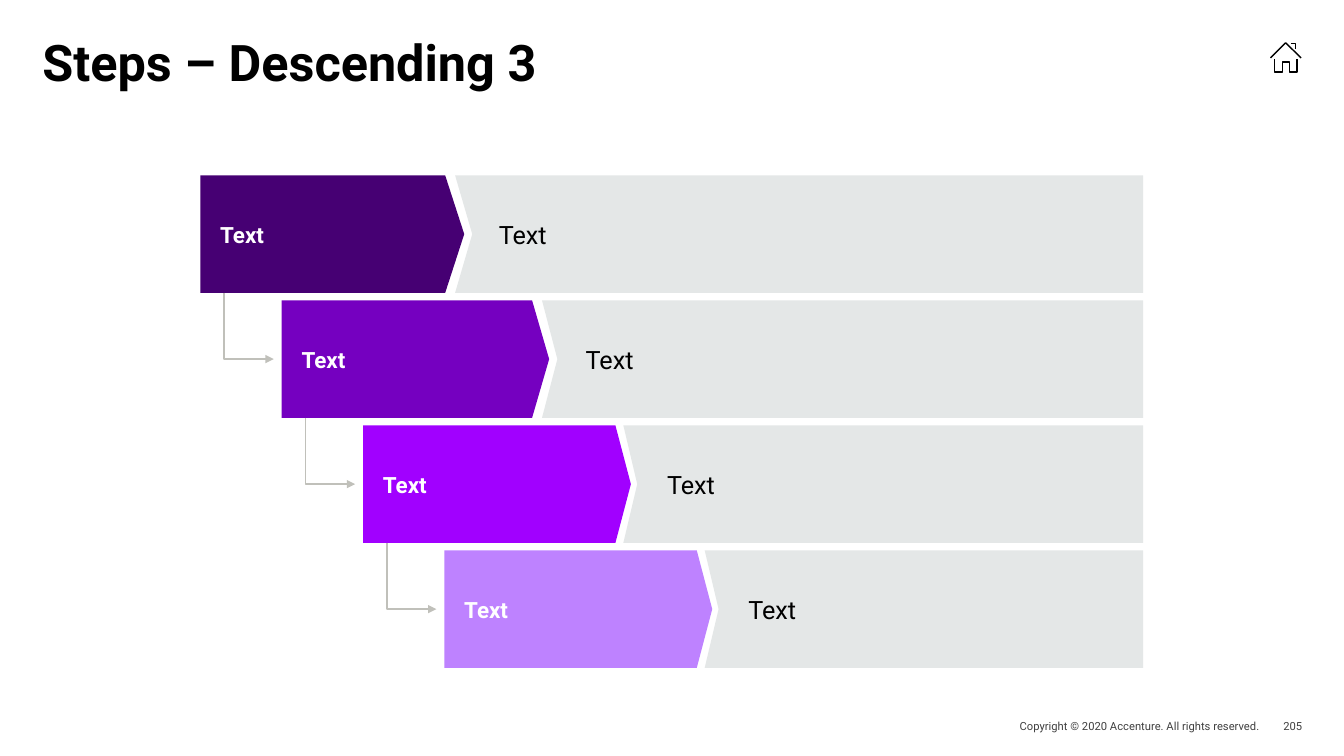
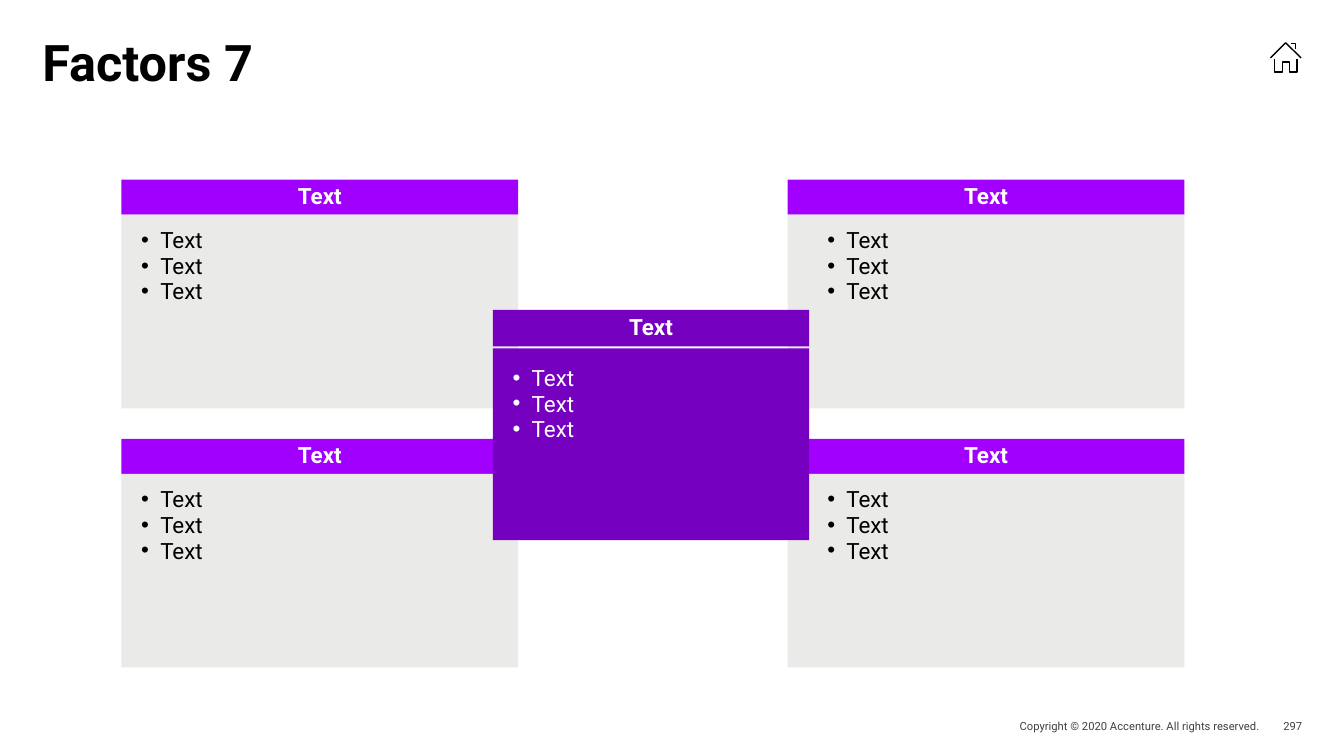
from dataclasses import dataclass

from lxml import etree
from pptx import Presentation
from pptx.dml.color import RGBColor
from pptx.enum.shapes import MSO_CONNECTOR, MSO_SHAPE
from pptx.enum.text import MSO_ANCHOR, PP_ALIGN
from pptx.oxml.ns import qn
from pptx.util import Cm, Pt

RECT, PENTAGON = MSO_SHAPE.RECTANGLE, MSO_SHAPE.PENTAGON
ELBOW = MSO_CONNECTOR.ELBOW
TOP, MIDDLE = MSO_ANCHOR.TOP, MSO_ANCHOR.MIDDLE
LEFT, CENTER, RIGHT = PP_ALIGN.LEFT, PP_ALIGN.CENTER, PP_ALIGN.RIGHT


@dataclass(frozen=True)
class Theme:
    font: str = "Roboto"
    black: str = "000000"
    white: str = "FFFFFF"
    footer_grey: str = "404040"
    panel_grey: str = "E4E7E7"
    card_grey: str = "EAEAE8"
    arrow_grey: str = "C0C0BA"
    darkest: str = "460073"
    dark: str = "7500C0"
    bright: str = "A100FF"
    light: str = "BE82FF"
    title_size: int = 36
    panel_size: int = 18
    body_size: int = 16
    footer_size: int = 8


THEME = Theme()
COPYRIGHT = "Copyright © 2020 Accenture. All rights reserved."

# Home icon strokes, in cm: roof, chimney, walls with door
HOME_STROKES = (
    ((32.02, 1.46), (32.4, 1.08), (32.79, 1.46)),
    ((32.53, 1.1), (32.65, 1.1), (32.65, 1.23)),
    ((32.12, 1.49), (32.12, 1.82), (32.32, 1.82), (32.32, 1.56),
     (32.5, 1.56), (32.5, 1.82), (32.69, 1.82), (32.69, 1.49)),
)


def rgb(code):
    return RGBColor.from_string(code)


def points(pairs):
    return [(Cm(x), Cm(y)) for x, y in pairs]


class Deck:
    """Holds the style and the current slide; all lengths are in cm."""

    def __init__(self, theme):
        self.theme = theme
        self.prs = Presentation()
        self.prs.slide_width, self.prs.slide_height = Cm(33.87), Cm(19.05)
        self.slide = None

    def new_slide(self, title, number):
        theme = self.theme
        self.slide = self.prs.slides.add_slide(self.prs.slide_layouts[6])
        for text, left, width in ((COPYRIGHT, 23.11, 8.64), (number, 31.75, 1.07)):
            self.label(text, (left, 18.01, width, 0.57), theme.footer_size,
                       theme.footer_grey, align=RIGHT, anchor=MIDDLE)
        self.label(title, (1.07, 1.07, 31.75, 2.74), theme.title_size,
                   theme.black, bold=True, spacing=0.8)
        self.home_icon()

    def set_text(self, shape, text, size, color, bold=False, align=LEFT, anchor=TOP,
                 insets=(0, 0, 0, 0), spacing=None, bullets=False):
        frame = shape.text_frame
        frame.text = text
        frame.word_wrap = True
        frame.vertical_anchor = anchor
        (frame.margin_left, frame.margin_top,
         frame.margin_right, frame.margin_bottom) = map(Cm, insets)
        for index, paragraph in enumerate(frame.paragraphs):
            if bullets:
                self.bullet(paragraph)
                paragraph.space_before = Pt(1 if index else 0)
                paragraph.space_after = Pt(1)
            paragraph.alignment = align
            if spacing:
                paragraph.line_spacing = spacing
            for run in paragraph.runs:
                run.font.name = self.theme.font
                run.font.size = Pt(size)
                run.font.bold = bold
                run.font.color.rgb = rgb(color)

    def bullet(self, paragraph):
        props = paragraph._p.get_or_add_pPr()
        props.set("marL", str(Cm(0.48)))
        props.set("indent", str(-Cm(0.48)))
        etree.SubElement(props, qn("a:buFont")).set("typeface", "Arial")
        etree.SubElement(props, qn("a:buChar")).set("char", "•")

    def label(self, text, box, size, color, **style):
        self.set_text(self.slide.shapes.add_textbox(*map(Cm, box)), text, size, color,
                      **style)

    def paint(self, shape, fill):
        shape.shadow.inherit = False
        shape.fill.solid()
        shape.fill.fore_color.rgb = rgb(fill)
        shape.line.fill.background()
        return shape

    def block(self, kind, box, fill):
        return self.paint(self.slide.shapes.add_shape(kind, *map(Cm, box)), fill)

    def home_icon(self):
        roof, *others = map(points, HOME_STROKES)
        outline = self.slide.shapes.build_freeform(*roof[0])
        outline.add_line_segments(roof[1:], close=False)
        for stroke in others:
            outline.move_to(*stroke[0])
            outline.add_line_segments(stroke[1:], close=False)
        icon = outline.convert_to_shape()
        icon.shadow.inherit = False
        icon.fill.background()
        icon.line.color.rgb = rgb(self.theme.black)
        icon.line.width = Pt(1)

    def step(self, text, box, tip, fill):
        arrow = self.block(PENTAGON, box, fill)
        arrow.adjustments[0] = tip / box[3]
        self.set_text(arrow, text, self.theme.body_size, self.theme.white, bold=True,
                      anchor=MIDDLE, insets=(0.5, 0.13, 0.3, 0.13))

    def notched_panel(self, text, left, top, right, height, notch):
        bottom = top + height
        start, *rest = points([(left, top), (left + notch, top + height / 2),
                               (left, bottom), (right, bottom), (right, top)])
        outline = self.slide.shapes.build_freeform(*start)
        outline.add_line_segments(rest)
        panel = self.paint(outline.convert_to_shape(), self.theme.panel_grey)
        self.set_text(panel, text, self.theme.panel_size, self.theme.black,
                      anchor=MIDDLE, insets=(1.1, 0.13, 0.25, 0.13))

    def elbow_arrow(self, x1, y1, x2, y2):
        """Go down from the start, then right to the arrowhead."""
        mid_x, mid_y = (x1 + x2) / 2, (y1 + y2) / 2
        half_w, half_h = (y2 - y1) / 2, (x2 - x1) / 2  # sides swap on rotation
        arrow = self.slide.shapes.add_connector(
            ELBOW, Cm(mid_x - half_w), Cm(mid_y - half_h),
            Cm(mid_x + half_w), Cm(mid_y + half_h))
        arrow.line.color.rgb = rgb(self.theme.arrow_grey)
        arrow.line.width = Pt(1)
        props = arrow._element.spPr
        props.find(qn("a:prstGeom")).set("prst", "bentConnector2")
        turn = props.find(qn("a:xfrm"))
        turn.set("rot", "16200000")
        turn.set("flipH", "1")
        etree.SubElement(props.find(qn("a:ln")), qn("a:tailEnd")).set("type", "triangle")
        etree.SubElement(props, qn("a:effectLst"))

    def card(self, heading, items, box, head_height, head_fill, body_fill,
             text_color, insets, gap=0):
        left, top, width, height = box
        head = self.block(RECT, (left, top, width, head_height), head_fill)
        self.set_text(head, heading, self.theme.body_size, self.theme.white, bold=True,
                      align=CENTER, anchor=MIDDLE, insets=(0.2,) * 4, spacing=0.85)
        body_top = top + head_height + gap
        body = self.block(RECT, (left, body_top, width, top + height - body_top), body_fill)
        self.set_text(body, "\n".join(items), self.theme.body_size, text_color,
                      insets=insets, spacing=0.85, bullets=True)


def descending_steps(deck):
    deck.new_slide("Steps – Descending 3", "205")
    theme = deck.theme
    first_left, first_top, shift, pitch = 5.05, 4.42, 2.05, 3.15
    height, panel_right = 2.96, 28.81
    # fill, width, tip depth, gap before the panel
    steps = (
        (theme.darkest, 6.65, 0.48, 0.25),
        (theme.dark, 6.74, 0.43, 0.25),
        (theme.bright, 6.75, 0.39, 0.2),
        (theme.light, 6.75, 0.39, 0.2),
    )
    for index, (fill, width, tip, gap) in enumerate(steps):
        left, top = first_left + index * shift, first_top + index * pitch
        deck.step("Text", (left, top, width, height), tip, fill)
        deck.notched_panel("Text", left + width - tip + gap, top, panel_right,
                           height, 0.9 * tip)
        if index < len(steps) - 1:
            deck.elbow_arrow(left + 0.6, top + height,
                             left + shift - 0.2, top + pitch + height / 2)


def factors(deck):
    deck.new_slide("Factors 7", "297")
    theme = deck.theme
    items = ["Text"] * 3
    # Corner cards: the right column is indented past the centre card
    for left, indent in ((3.06, 0.5), (19.85, 1)):
        for top in (4.53, 11.06):
            deck.card("Text", items, (left, top, 10, 5.76), 0.88, theme.bright,
                      theme.card_grey, theme.black, (indent, 0.4, 0.4, 0.2))
    # Centre card, on top of the others
    deck.card("Text", items, (12.42, 7.81, 7.97, 5.8), 0.92, theme.dark,
              theme.dark, theme.white, (0.5, 0.5, 0.2, 0.2), gap=0.05)


def main():
    deck = Deck(THEME)
    descending_steps(deck)
    factors(deck)
    deck.prs.save("out.pptx")


if __name__ == "__main__":
    main()
